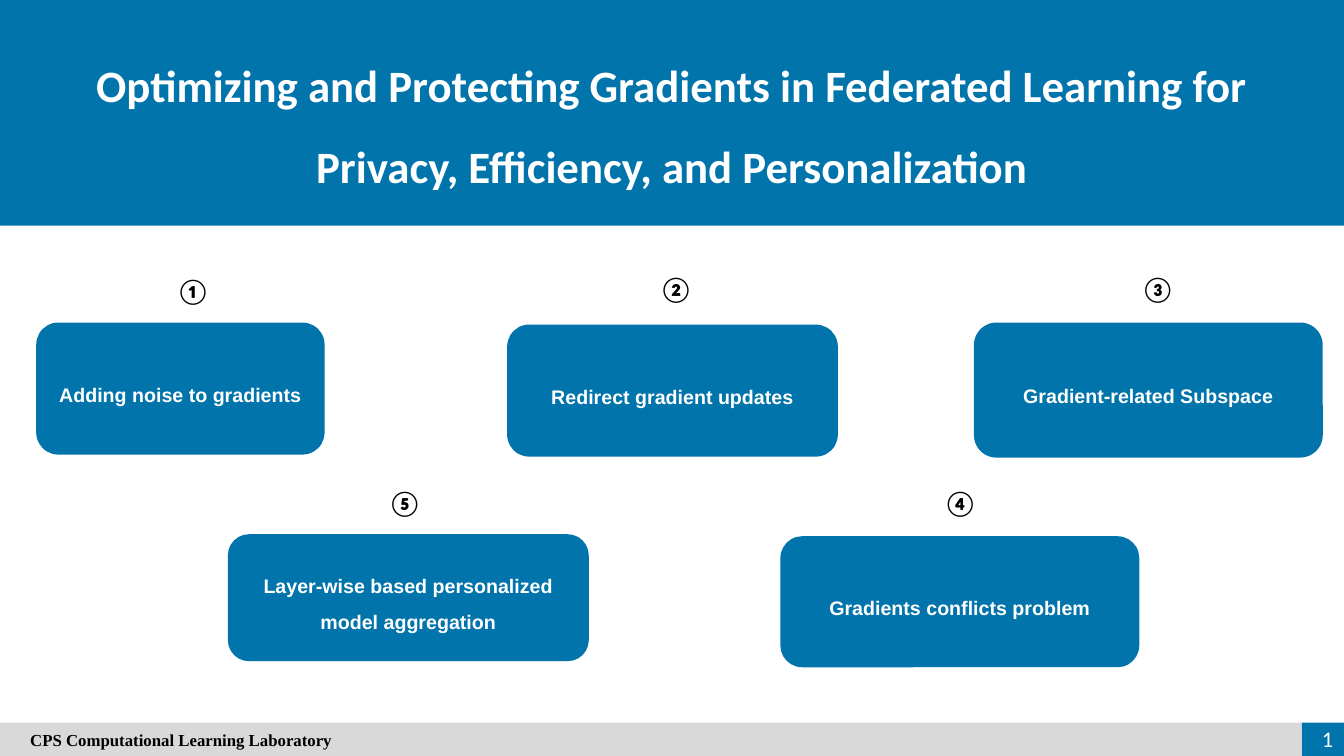
from pptx import Presentation
from pptx import util as u
from pptx.dml import color
from pptx.enum import shapes, text

COLORS = {"blue": "0174AB", "grey": "D9D9D9", "white": "FFFFFF", "black": "000000"}
WIDTH, HEIGHT = 13.33, 7.5
COLUMNS, ROWS = 133.3, 75


class Deck:
    def __init__(self):
        self.prs = Presentation()
        self.prs.slide_width = u.Inches(WIDTH)
        self.prs.slide_height = u.Inches(HEIGHT)
        self.slide = self.prs.slides.add_slide(self.prs.slide_layouts[6])

    def place(self, left, top, width, height):
        column, row = WIDTH / COLUMNS, HEIGHT / ROWS
        return [u.Inches(n) for n in (left * column, top * row, width * column, height * row)]

    def panel(self, area, fill="blue", kind=shapes.MSO_SHAPE.RECTANGLE):
        panel = self.slide.shapes.add_shape(kind, *self.place(*area))
        panel.shadow.inherit = False
        panel.fill.solid()
        panel.fill.fore_color.rgb = color.RGBColor.from_string(COLORS[fill])
        panel.line.fill.background()
        return panel

    def set_words(self, holder, words, size, font, ink="white", bold=True,
                  align=text.PP_ALIGN.CENTER, spacing=1, anchor=text.MSO_ANCHOR.MIDDLE, wrap=True):
        frame = holder.text_frame
        frame.word_wrap = wrap
        frame.vertical_anchor = anchor
        frame.text = words
        paragraph = frame.paragraphs[0]
        paragraph.alignment = align
        paragraph.line_spacing = spacing
        for run in paragraph.runs:
            run.font.size = u.Pt(size)
            run.font.name = font
            run.font.bold = bold
            run.font.color.rgb = color.RGBColor.from_string(COLORS[ink])

    def label(self, area, words, size, **style):
        label = self.slide.shapes.add_textbox(*self.place(*area))
        self.set_words(label, words, size, "Calibri", **style)

    def topic(self, area, words):
        card = self.panel(area, kind=shapes.MSO_SHAPE.ROUNDED_RECTANGLE)
        self.set_words(card, words, 14, "Arial", spacing=1.5)

    def number(self, left, top, mark):
        self.label((left, top, 4.5, 4), mark, 18, ink="black",
                   align=text.PP_ALIGN.LEFT, anchor=text.MSO_ANCHOR.TOP, wrap=False)

    def footer(self, words, page):
        top, height, split = 71.7, 3.3, 129.1
        self.panel((split, top, COLUMNS - split, height))
        strip = self.panel((0, top, split, height), "grey")
        self.set_words(strip, words, 12, "Times New Roman", ink="black",
                       align=text.PP_ALIGN.LEFT)
        strip.text_frame.margin_left = u.Inches(0.3)
        self.label((126.9, 71.3, 6.3, 4), page, 16, bold=False, align=text.PP_ALIGN.RIGHT)


def main():
    deck = Deck()
    deck.panel((0, 0, COLUMNS, 22.4))
    deck.label((5.5, 2.6, 122.3, 17.2),
               "Optimizing and Protecting Gradients in Federated Learning for "
               "Privacy, Efficiency, and Personalization",
               32, spacing=1.5, anchor=text.MSO_ANCHOR.TOP)
    deck.footer("CPS Computational Learning Laboratory", "1")
    topics = [
        ("①", 16.5, 26.8, (3.6, 32, 28.6, 13.1), "Adding noise to gradients"),
        ("②", 64.4, 26.6, (50.3, 32.2, 32.8, 13.1), "Redirect gradient updates"),
        ("③", 112.2, 26.6, (96.6, 32, 34.6, 13.4), "Gradient-related Subspace"),
        ("④", 92.6, 47.9, (77.4, 53.2, 35.6, 13), "Gradients conflicts problem"),
        ("⑤", 37.5, 47.9, (22.6, 53, 35.8, 12.6),
         "Layer-wise based personalized model aggregation"),
    ]
    for mark, left, top, area, words in topics:
        deck.topic(area, words)
        deck.number(left, top, mark)
    deck.prs.save("out.pptx")


if __name__ == "__main__":
    main()
